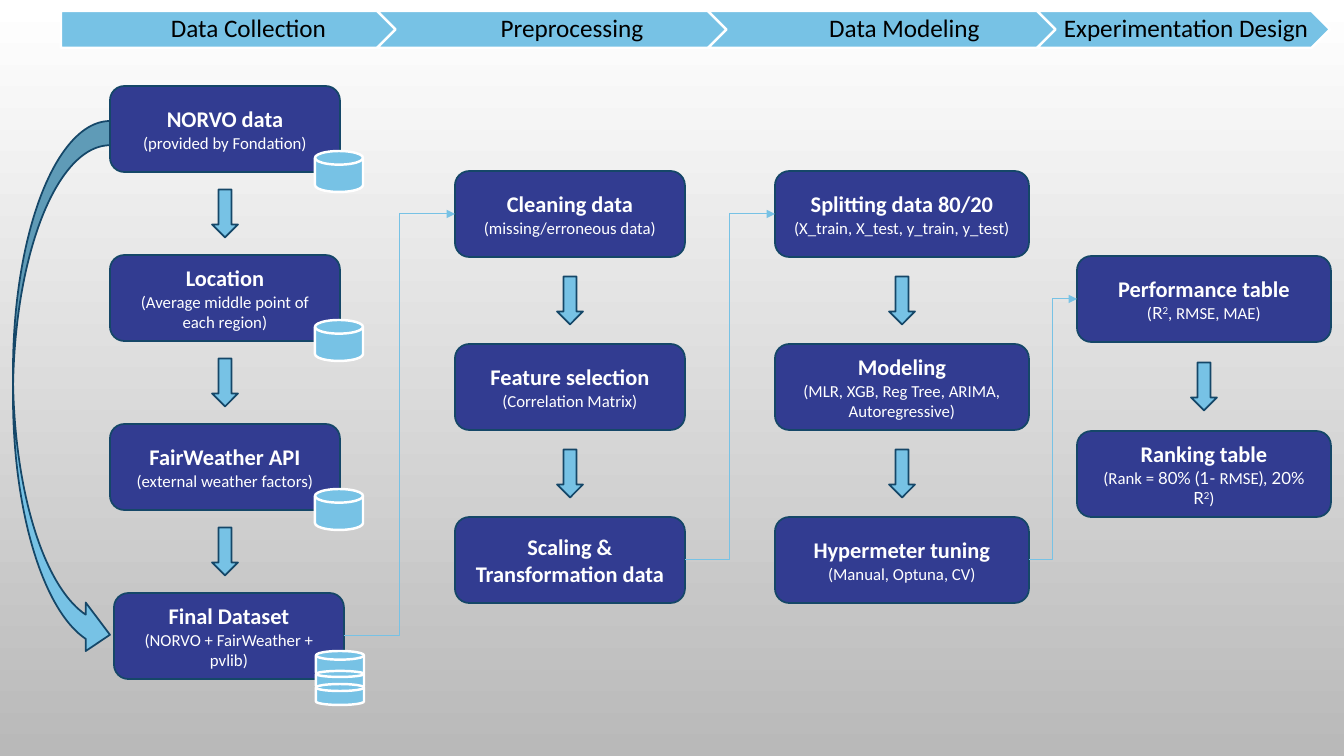
from lxml import etree
from pptx import Presentation
from pptx.dml.color import RGBColor
from pptx.enum.shapes import MSO_CONNECTOR as CONN, MSO_SHAPE as SHAPE
from pptx.enum.text import MSO_ANCHOR as ANCHOR, PP_ALIGN as ALIGN
from pptx.oxml.ns import qn
from pptx.util import Emu, Pt

SLIDE_W, SLIDE_H = 1344, 756
SCALE = 12192000 / SLIDE_W
BOX_H = 86
COLORS = {
    "top": "FFFFFF", "bottom": "B9B9B9", "box": "323C91", "edge": "154768",
    "sky": "77C2E5", "white": "FFFFFF", "black": "000000",
}

# Each column: left, width, first top, step, boxes as (heading, detail).
# A detail is a string or a list of (text, font, superscript) parts.
COLUMNS = [
    (110, 230, 86, 169, [
        ("NORVO data", "(provided by Fondation)"),
        ("Location", "(Average middle point of each region)"),
        ("FairWeather API", "(external weather factors)"),
        ("Final Dataset", "(NORVO + FairWeather + pvlib)"),
    ]),
    (455, 230, 171, 173, [
        ("Cleaning data", "(missing/erroneous data)"),
        ("Feature selection", "(Correlation Matrix)"),
        ("Scaling & Transformation data", ""),
    ]),
    (775, 254, 171, 173, [
        ("Splitting data 80/20", "(X_train, X_test, y_train, y_test)"),
        ("Modeling", "(MLR, XGB, Reg Tree, ARIMA, Autoregressive)"),
        ("Hypermeter tuning", "(Manual, Optuna, CV)"),
    ]),
    (1077, 254, 256, 175, [
        ("Performance table", [
            ("(", "Calibri", False), ("R", "Lato", False),
            ("2", "Lato", True), (", RMSE, MAE)", "Calibri", False)]),
        ("Ranking table", [
            ("(Rank = ", "Calibri", False), ("80% (1-", "Lato", False),
            (" RMSE", "Calibri", False), ("), 20% R", "Lato", False),
            ("2", "Lato", True), (")", "Calibri", False)]),
    ]),
]

# Each stage: name, left, width, text offset, text width, left inset
STAGES = [
    ("Data Collection", 61, 377, 0, 368, 10),
    ("Preprocessing", 377, 386, 18, 349, 8),
    ("Data Modeling", 708, 389, 18, 352, 8),
    ("Experimentation Design", 1037, 293, 18, 257, 8),
]


def px(n):
    return Emu(round(n * SCALE))


def rgb(name):
    return RGBColor.from_string(COLORS[name])


def add_shape(shapes, kind, x, y, w, h, fill="sky", line="edge", width=1.25):
    sp = shapes.add_shape(kind, px(x), px(y), px(w), px(h))
    sp.shadow.inherit = False
    sp.fill.solid()
    sp.fill.fore_color.rgb = rgb(fill)
    sp.line.color.rgb = rgb(line)
    sp.line.width = Pt(width)
    return sp


def format_run(r, size, color, bold=False, font="Calibri"):
    r.font.size = Pt(size)
    r.font.name = font
    r.font.bold = bold
    r.font.color.rgb = rgb(color)


def add_disk(shapes, x, y, h):
    add_shape(shapes, SHAPE.FLOWCHART_MAGNETIC_DISK, x, y, 48, h,
              line="white", width=1.75)


def add_down_arrow(shapes, cx, cy):
    sp = add_shape(shapes, SHAPE.RIGHT_ARROW, cx - 24, cy - 13, 48, 26)
    sp.rotation = 90


def add_step(shapes, x, y, w, heading, detail):
    sp = add_shape(shapes, SHAPE.ROUNDED_RECTANGLE, x, y, w, BOX_H, "box")
    tf = sp.text_frame
    tf.word_wrap = True
    tf.vertical_anchor = ANCHOR.MIDDLE
    p = tf.paragraphs[0]
    p.text = heading
    p.alignment = ALIGN.CENTER
    format_run(p.runs[0], 16, "white", bold=True)
    if detail:
        p = tf.add_paragraph()
        p.alignment = ALIGN.CENTER
        parts = [(detail, "Calibri", False)] if isinstance(detail, str) else detail
        for text, font, superscript in parts:
            r = p.add_run()
            r.text = text
            format_run(r, 12, "white", font=font)
            if superscript:
                r.font._element.set("baseline", "30000")
    return sp


def add_column(shapes, x, w, top, step, steps):
    """Stack the step boxes with an arrow in each gap; return the boxes."""
    boxes = []
    for i, (heading, detail) in enumerate(steps):
        y = top + i * step
        shift = 4 if heading == "Final Dataset" else 0
        boxes.append(add_step(shapes, x + shift, y, w, heading, detail))
        if i:
            add_down_arrow(shapes, x + w / 2, y - (step - BOX_H) / 2)
    return boxes


def add_data_stores(shapes, x, top, step):
    """Mark each source with one disk and the final dataset with a stack."""
    for i in range(3):
        add_disk(shapes, x + 205, top + i * step + 65, 41)
    final = top + 3 * step
    for dy, h in ((58, 26), (78, 18), (91, 21)):
        add_disk(shapes, x + 206, final + dy, h)


def link_columns(shapes, start, end):
    """Join the right side of one box to the left side of another."""
    line = shapes.add_connector(
        CONN.ELBOW, start.left + start.width, start.top + start.height // 2,
        end.left, end.top + end.height // 2)
    line.begin_connect(start, 3)
    line.end_connect(end, 1)
    line.line.color.rgb = rgb("sky")
    line.line.width = Pt(0.75)
    ln = line.line._get_or_add_ln()
    etree.SubElement(ln, qn("a:tailEnd"), type="triangle")
    etree.SubElement(line._element.spPr, qn("a:effectLst"))


def add_stage_bar(shapes, y, h):
    bar = shapes.add_group_shape().shapes
    for i, (name, x, w, dx, text_w, inset) in enumerate(STAGES):
        kind = SHAPE.CHEVRON if i else SHAPE.PENTAGON
        add_shape(bar, kind, x, y, w, h, line="white", width=1.75)
        tb = bar.add_textbox(px(x + dx), px(y), px(text_w), px(h))
        tf = tb.text_frame
        tf.word_wrap = True
        tf.vertical_anchor = ANCHOR.MIDDLE
        tf.margin_left, tf.margin_right = px(inset), px(3)
        p = tf.paragraphs[0]
        p.text = name
        p.alignment = ALIGN.CENTER
        p.line_spacing = 0.9
        format_run(p.runs[0], 18, "black")


def set_background(s):
    fill = s.background.fill
    fill.gradient()
    fill.gradient_angle = 270
    for stop, name in zip(fill.gradient_stops, ("top", "bottom")):
        stop.color.rgb = rgb(name)


def main():
    prs = Presentation()
    prs.slide_width, prs.slide_height = px(SLIDE_W), px(SLIDE_H)
    s = prs.slides.add_slide(prs.slide_layouts[6])
    set_background(s)
    columns = [add_column(s.shapes, *column) for column in COLUMNS]
    x, _, top, step, _ = COLUMNS[0]
    add_data_stores(s.shapes, x, top, step)
    add_shape(s.shapes, SHAPE.CURVED_RIGHT_ARROW, 13, 121, 97, 538)
    for left, right in zip(columns, columns[1:]):
        link_columns(s.shapes, left[-1], right[0])
    add_stage_bar(s.shapes, 11, 37)
    prs.save("out.pptx")


if __name__ == "__main__":
    main()
